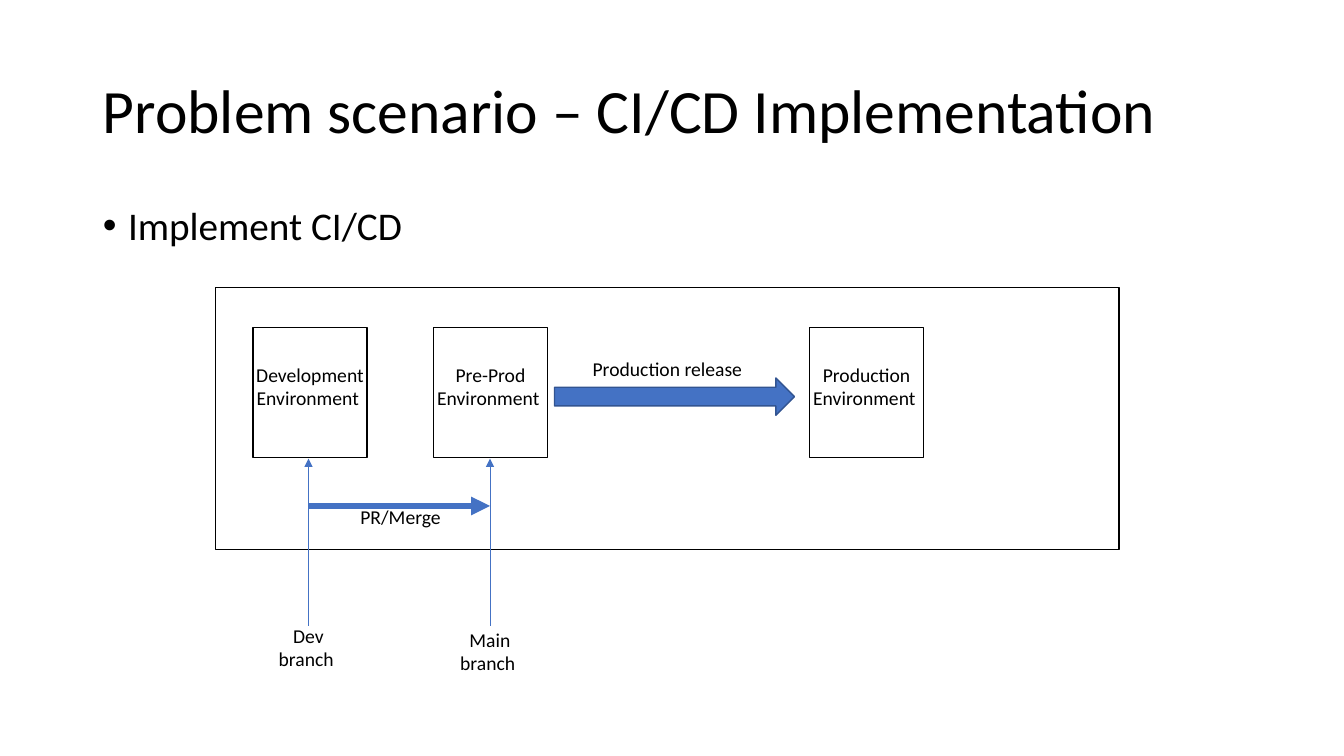
"""Build the CI/CD implementation slide."""
from pptx import Presentation
from pptx.dml.color import RGBColor
from pptx.enum.shapes import MSO_CONNECTOR, MSO_SHAPE
from pptx.enum.text import MSO_ANCHOR, MSO_AUTO_SIZE, PP_ALIGN
from pptx.oxml.ns import qn
from pptx.util import Inches, Pt
from lxml.etree import SubElement

TITLE = "Problem scenario – CI/CD Implementation"
BULLET = "Implement CI/CD"
COLORS = {"ink": "000000", "blue": "4472C4", "edge": "325491"}
FONT = "Calibri"
ENVIRONMENTS = [
    (2.51, ["Development", "Environment "]),
    (4.3, ["Pre-Prod", "Environment "]),
    (8.03, ["Production", "Environment "]),
]
BRANCHES = [(3.06, 6.14, ["Dev", "branch "]), (4.86, 6.18, ["Main", "branch "])]
ARROW_LABELS = [
    ((3.47, 4.96, 1.05, 0.34), ["PR/Merge "]),
    ((5.77, 3.49, 1.7, 0.34), ["Production release"]),
]
FRAME = (2.14, 2.85, 8.96, 2.6)
RELEASE_ARROW = (5.5, 3.75, 2.38, 0.37)
BOX_TOP, BOX_WIDTH, BOX_HEIGHT = 3.25, 1.13, 1.29
LABEL_WIDTH, LABEL_HEIGHT = 1.28, 0.57
BRANCH_WIDTH = 0.8
BRANCH_START, BRANCH_END, MERGE_LEVEL = 6.21, 4.55, 5.02


def color(name):
    return RGBColor.from_string(COLORS[name])


def write(frame, lines, size=14, align=PP_ALIGN.CENTER, spacing=None, before=0,
          wrap=False, anchor=MSO_ANCHOR.TOP, fit=MSO_AUTO_SIZE.NONE):
    frame.word_wrap = wrap
    frame.auto_size = fit
    frame.vertical_anchor = anchor
    for number, line in enumerate(lines):
        para = frame.add_paragraph() if number else frame.paragraphs[0]
        para.alignment = align
        para.space_before = Pt(before)
        if spacing:
            para.line_spacing = spacing
        span = para.add_run()
        span.text = line
        span.font.name = FONT
        span.font.size = Pt(size)
        span.font.color.rgb = color("ink")


def move(shape, *area):
    shape.left, shape.top, shape.width, shape.height = map(Inches, area)


def add_label(page, area, lines):
    box = page.shapes.add_textbox(*map(Inches, area))
    write(box.text_frame, lines, fit=MSO_AUTO_SIZE.SHAPE_TO_FIT_TEXT)


def add_box(page, area, kind=MSO_SHAPE.RECTANGLE, fill=None, line="ink"):
    box = page.shapes.add_shape(kind, *map(Inches, area))
    box.shadow.inherit = False
    if fill:
        box.fill.solid()
        box.fill.fore_color.rgb = color(fill)
    else:
        box.fill.background()
    box.line.color.rgb = color(line)
    box.line.width = Pt(1)


def add_arrow(page, start, end, width):
    arrow = page.shapes.add_connector(
        MSO_CONNECTOR.STRAIGHT, *map(Inches, start + end))
    arrow.line.color.rgb = color("blue")
    arrow.line.width = Pt(width)
    SubElement(arrow.line._get_or_add_ln(), qn("a:tailEnd"), type="triangle")
    SubElement(arrow._element.spPr, qn("a:effectLst"))


def main():
    deck = Presentation()
    deck.slide_width, deck.slide_height = Inches(13.33), Inches(7.5)
    page = deck.slides.add_slide(deck.slide_layouts[1])

    title, body = page.placeholders
    move(title, 0.92, 0.4, 11.5, 1.45)
    write(title.text_frame, [TITLE], size=44, align=PP_ALIGN.LEFT, spacing=0.9,
          wrap=True, anchor=MSO_ANCHOR.MIDDLE)
    move(body, 0.92, 2, 3.8, 1.48)
    write(body.text_frame, [BULLET], size=28, align=PP_ALIGN.LEFT, spacing=0.9,
          before=10, wrap=True)
    bullet = body.text_frame.paragraphs[0]._p.get_or_add_pPr()
    bullet.set("marL", str(Inches(0.25)))
    bullet.set("indent", str(Inches(-0.25)))

    add_box(page, FRAME)
    for left, lines in ENVIRONMENTS:
        add_box(page, (left, BOX_TOP, BOX_WIDTH, BOX_HEIGHT))
        label_left = left - (LABEL_WIDTH - BOX_WIDTH) / 2
        add_label(page, (label_left, BOX_TOP + 0.3, LABEL_WIDTH, LABEL_HEIGHT), lines)
    for center, top, lines in BRANCHES:
        add_arrow(page, (center, BRANCH_START), (center, BRANCH_END), 0.5)
        add_label(page, (center - BRANCH_WIDTH / 2, top, BRANCH_WIDTH, LABEL_HEIGHT),
                  lines)

    add_box(page, RELEASE_ARROW, MSO_SHAPE.RIGHT_ARROW, "blue", "edge")
    merge_start, merge_end = [(center, MERGE_LEVEL) for center, _, _ in BRANCHES]
    add_arrow(page, merge_start, merge_end, 4.5)
    for area, lines in ARROW_LABELS:
        add_label(page, area, lines)

    deck.save("out.pptx")


if __name__ == "__main__":
    main()
